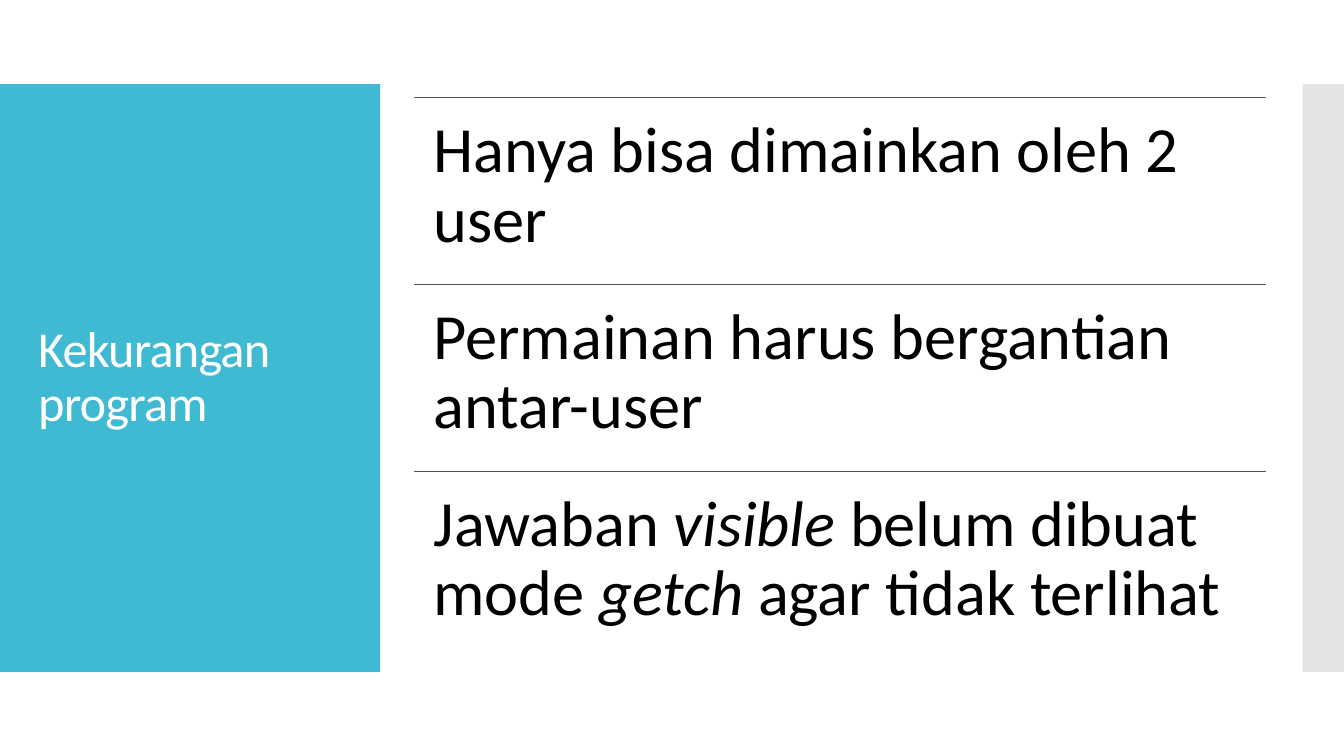
from dataclasses import dataclass

from lxml import etree
from pptx import Presentation
from pptx.dml.color import RGBColor
from pptx.enum.shapes import MSO_CONNECTOR, MSO_SHAPE
from pptx.enum.text import MSO_ANCHOR
from pptx.oxml.ns import qn
from pptx.util import Inches, Pt

RECTANGLE = MSO_SHAPE.RECTANGLE
STRAIGHT = MSO_CONNECTOR.STRAIGHT
MIDDLE, TOP = MSO_ANCHOR.MIDDLE, MSO_ANCHOR.TOP


@dataclass(frozen=True)
class Theme:
    font: str = "Calibri"
    panel: str = "40BAD2"
    edge: str = "C8C8C8"
    rule: str = "545454"
    title: str = "FFFFFF"
    body: str = "000000"
    title_size: int = 36
    body_size: int = 46
    line_spacing: float = 0.9
    rule_width: float = 0.75


THEME = Theme()
WIDTH, HEIGHT = 13.33, 7.5
BAND_TOP, BAND_HEIGHT = HEIGHT / 9, HEIGHT * 7 / 9

TITLE = "Kekurangan program"
# Each drawback is a list of (text, italic) pieces
DRAWBACKS = [
    [("Hanya bisa dimainkan oleh 2 user", False)],
    [("Permainan harus bergantian antar-user", False)],
    [("Jawaban ", False), ("visible ", True), ("belum dibuat mode ", False),
     ("getch ", True), ("agar tidak terlihat", False)],
]


def add_block(slide, box, color, opacity=100):
    block = slide.shapes.add_shape(RECTANGLE, *map(Inches, box))
    block.shadow.inherit = False
    block.line.fill.background()
    block.fill.solid()
    block.fill.fore_color.rgb = RGBColor.from_string(color)
    if opacity < 100:
        tint = block.fill._xPr.find(".//" + qn("a:srgbClr"))
        etree.SubElement(tint, qn("a:alpha"), val=str(opacity * 1000))


def add_rule(slide, left, top, width):
    rule = slide.shapes.add_connector(
        STRAIGHT, *map(Inches, (left, top, left + width, top)))
    rule.line.color.rgb = RGBColor.from_string(THEME.rule)
    rule.line.width = Pt(THEME.rule_width)
    etree.SubElement(rule._element.spPr, qn("a:effectLst"))


def add_text(slide, box, pieces, size, color, anchor, insets):
    """Place one paragraph and return its runs."""
    frame = slide.shapes.add_textbox(*map(Inches, box)).text_frame
    frame.word_wrap = True
    frame.vertical_anchor = anchor
    frame.margin_left = frame.margin_right = Inches(insets[0])
    frame.margin_top = frame.margin_bottom = Inches(insets[1])
    paragraph = frame.paragraphs[0]
    paragraph.line_spacing = THEME.line_spacing
    for text, italic in pieces:
        run = paragraph.add_run()
        run.text = text
        run.font.name = THEME.font
        run.font.size = Pt(size)
        run.font.italic = italic
        run.font.color.rgb = RGBColor.from_string(color)
    return paragraph.runs


def add_title_panel(slide, box):
    left, top, width, height = box
    add_block(slide, box, THEME.panel)
    title_box = (left + 0.28, top + 0.4, width - 0.55, height - 0.8)
    runs = add_text(slide, title_box, [(TITLE, False)], THEME.title_size,
                    THEME.title, MIDDLE, (0.1, 0.05))
    for run in runs:
        run.font._element.set("spc", "-60")  # tighter letters


def add_drawback_list(slide, box):
    left, top, width, height = box
    row_height = height / len(DRAWBACKS)
    for row, pieces in enumerate(DRAWBACKS):
        row_top = top + row * row_height
        add_rule(slide, left, row_top, width)
        add_text(slide, (left, row_top, width, row_height), pieces,
                 THEME.body_size, THEME.body, TOP, (0.19, 0.19))


def main():
    deck = Presentation()
    deck.slide_width, deck.slide_height = Inches(WIDTH), Inches(HEIGHT)
    slide = deck.slides.add_slide(deck.slide_layouts[6])

    # Title panel on the left, edge strip on the right
    add_title_panel(slide, (0, BAND_TOP, 3.77, BAND_HEIGHT))
    add_block(slide, (WIDTH - 0.41, BAND_TOP, 0.41, BAND_HEIGHT),
              THEME.edge, opacity=50)

    # Ruled list of drawbacks
    add_drawback_list(slide, (4.11, 0.97, 8.45, 5.56))

    deck.save("out.pptx")


if __name__ == "__main__":
    main()
